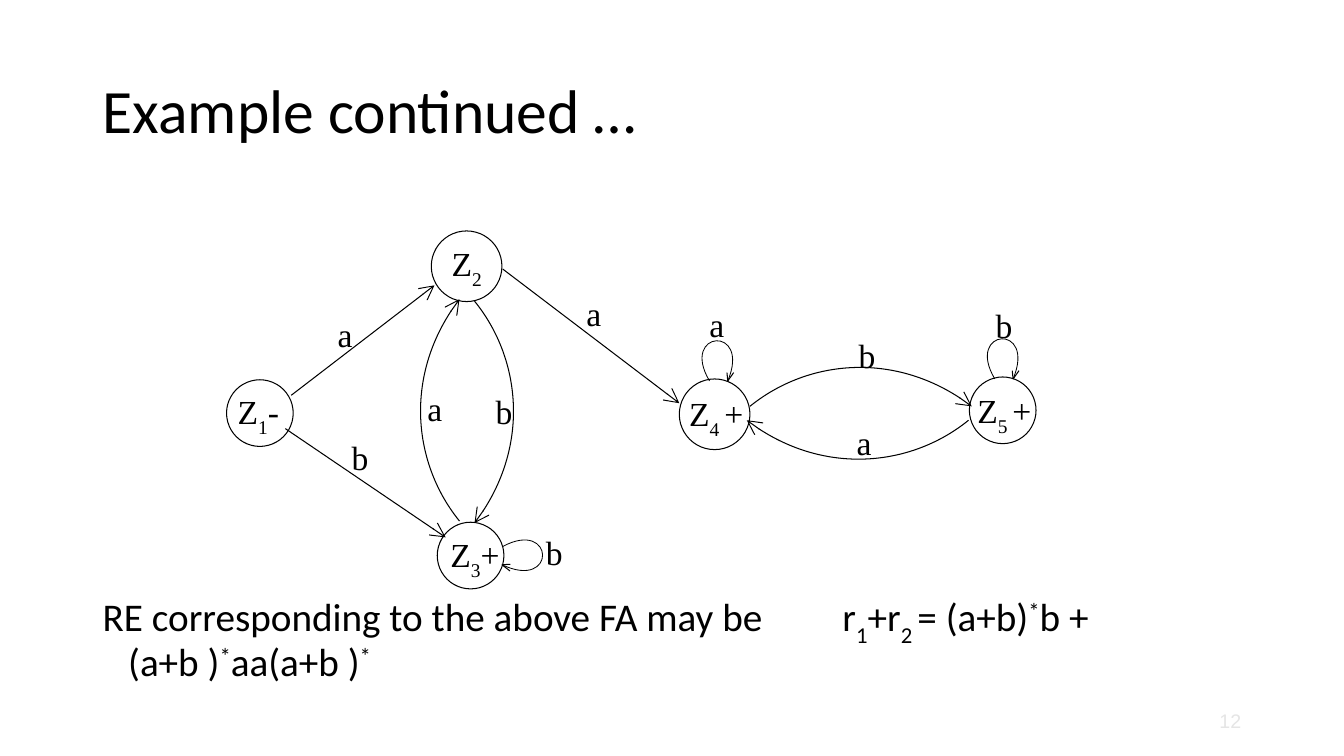
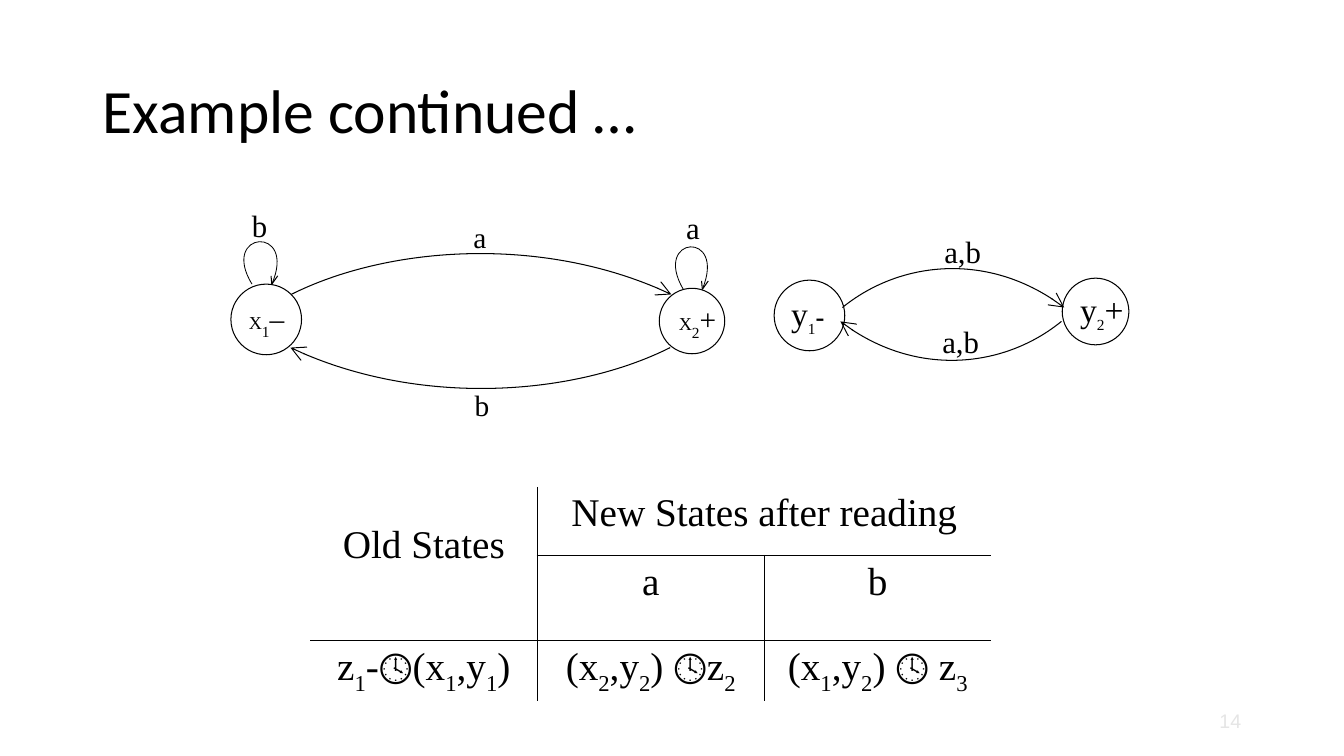
import math

import pptx
import pptx.dml.color
import pptx.enum.shapes
import pptx.enum.text
import pptx.oxml
import pptx.oxml.ns
import pptx.util
from lxml import etree

Cm = pptx.util.Cm
Pt = pptx.util.Pt
qn = pptx.oxml.ns.qn
ALIGN = pptx.enum.text.PP_ALIGN
ANCHOR = pptx.enum.text.MSO_ANCHOR

COLORS = {"ink": "000000", "paper": "FFFFFF", "number": "E5E5E5"}
SANS, SERIF, NUMERAL = "Calibri", "Times New Roman", "Arial"
SHIFTS = {"_": "-30000", "^": "30000"}
ARC = ((0.25, 0.8), (0.67, 1))
LOOP = ((-1.65, 0.9), (2.3, 1))
BARBS = ((0.15, 0.21), (-0.02, 0.21))


def rgb(name):
    return pptx.dml.color.RGBColor.from_string(COLORS[name])


def sub(parent, tag, **attrs):
    return etree.SubElement(parent, qn(tag), attrs)


def write(p, text, font, size, color="ink", sizes=None):
    """Pieces are parted by |; _ lowers, ^ raises and ! makes bold."""
    p.font.name = font
    p.font.size = Pt(size)
    p.font.color.rgb = rgb(color)
    for i, piece in enumerate(text.split("|")):
        mark = piece[0] if piece[0] in "_^!" else ""
        r = p.add_run()
        r.text = piece[len(mark):]
        if mark in SHIFTS:
            r._r.get_or_add_rPr().set("baseline", SHIFTS[mark])
        if mark == "!":
            r.font.bold = True
        if sizes:
            r.font.size = Pt(sizes[i])


def add_text(s, x, y, w, h, text, font, size, color="ink", sizes=None,
             anchor=ANCHOR.TOP, wrap=True, tabs=()):
    tf = s.shapes.add_textbox(Cm(x), Cm(y), Cm(w), Cm(h)).text_frame
    tf.word_wrap = wrap
    tf.vertical_anchor = anchor
    p = tf.paragraphs[0]
    if tabs:
        tab_list = sub(p._p.get_or_add_pPr(), "a:tabLst")
        for tab in tabs:
            sub(tab_list, "a:tab", pos=str(Cm(tab)), algn="l")
    write(p, text, font, size, color, sizes)
    return p


def style_line(shape, width=0.75, head=True):
    shape.line.color.rgb = rgb("ink")
    shape.line.width = Pt(width)
    if head:
        sub(shape.line._get_or_add_ln(), "a:tailEnd", type="arrow", w="lg", len="lg")


def add_curve(s, start, end, bulge, form, width=0.75, head=True):
    dx, dy = end[0] - start[0], end[1] - start[1]
    length = math.hypot(dx, dy)
    nx, ny = dy / length * bulge, -dx / length * bulge
    controls = [(start[0] + dx * along + nx * rise, start[1] + dy * along + ny * rise)
                for along, rise in form]
    points = [(Cm(px), Cm(py)) for px, py in (start, *controls, end)]
    builder = s.shapes.build_freeform(*points[0], scale=1.0)
    builder.add_line_segments(points[1:], close=False)
    shape = builder.convert_to_shape()
    segments = list(shape._element.iter(qn("a:lnTo")))
    bezier = sub(segments[0].getparent(), "a:cubicBezTo")
    for segment in segments:
        bezier.append(segment[0])
        segment.getparent().remove(segment)
    shape.shadow.inherit = False
    shape.fill.background()
    style_line(shape, width, head)


def add_line(s, start, end, head=True):
    line = s.shapes.add_connector(pptx.enum.shapes.MSO_CONNECTOR.STRAIGHT,
                                  *(Cm(v) for v in (*start, *end)))
    style_line(line, head=head)
    sub(line._element.spPr, "a:effectLst")


def add_loop(s, start, end, bulge):
    add_curve(s, start, end, bulge, LOOP, 0.6, False)
    dx, dy = end[0] - start[0], end[1] - start[1]
    length = math.hypot(dx, dy)
    ux, uy = dx / length, dy / length
    for along, rise in BARBS:
        tail = (end[0] + ux * along + uy * rise, end[1] + uy * along - ux * rise)
        add_line(s, tail, end, False)


def add_state(s, cx, cy, d, name, dx, dy, sizes=None):
    circle = s.shapes.add_shape(pptx.enum.shapes.MSO_SHAPE.OVAL,
                                Cm(cx - d / 2), Cm(cy - d / 2), Cm(d), Cm(d))
    circle.shadow.inherit = False
    circle.fill.solid()
    circle.fill.fore_color.rgb = rgb("paper")
    style_line(circle, head=False)
    add_text(s, cx + dx, cy + dy, 2, 1.27, name, SERIF, 24, sizes=sizes, wrap=False)


def add_automaton(s, x, y, machine):
    def at(point):
        return x + point[0], y + point[1]

    for cx, cy, *state in machine["states"]:
        add_state(s, *at((cx, cy)), *state)
    for start, end in machine["arcs"]:
        add_curve(s, at(start), at(end), machine["bulge"], ARC)
    for start, end in machine.get("loops", ()):
        add_loop(s, at(start), at(end), machine["bulge"])
    for start, end in machine.get("arrows", ()):
        add_line(s, at(start), at(end))
    for text, size, *place in machine["labels"]:
        add_text(s, *at(place), 2, 1.27, text, SERIF, size, wrap=False)


def set_borders(cell, sides):
    tcPr = cell._tc.get_or_add_tcPr()
    for side in "LRTB":
        ln = sub(tcPr, "a:ln" + side, w=str(Pt(1)))
        if side in sides:
            sub(sub(ln, "a:solidFill"), "a:srgbClr", val=COLORS["ink"])
        else:
            sub(ln, "a:noFill")
    cell.fill.background()


def add_transitions(s, x, y, rows, col_width, heights):
    n_rows, n_cols = len(rows), len(rows[0])
    table = s.shapes.add_table(n_rows, n_cols, Cm(x), Cm(y),
                               Cm(col_width * n_cols), Cm(sum(heights))).table
    table.first_row = table.horz_banding = False
    for col in table.columns:
        col.width = Cm(col_width)
    for row, height in zip(table.rows, heights):
        row.height = Cm(height)
    open_sides = {(1, 0, "T"), (0, 1, "R"), (0, 2, "L")}
    for i, texts in enumerate(rows):
        for j, text in enumerate(texts):
            cell = table.cell(i, j)
            cell.margin_bottom = 0
            inner = {"L": j > 0, "R": j < n_cols - 1, "T": i > 0, "B": i < n_rows - 1}
            set_borders(cell, [side for side, shown in inner.items()
                               if shown and (i, j, side) not in open_sides])
            if text:
                p = cell.text_frame.paragraphs[0]
                p.alignment = ALIGN.CENTER
                write(p, text, SERIF, 28)
    table.cell(0, 0).merge(table.cell(1, 0))
    table.cell(0, 0).margin_top = Cm(0.92)
    table.cell(0, 1).merge(table.cell(0, 2))


def add_slide(prs, title, number):
    s = prs.slides.add_slide(prs.slide_layouts[6])
    p = add_text(s, 2.34, 1.02, 29.21, 3.68, title, SANS, 44, anchor=ANCHOR.MIDDLE)
    p.line_spacing = 0.9
    p = add_text(s, 23.93, 17.66, 7.6, 1.01, number, NUMERAL, 14, "number",
                 anchor=ANCHOR.MIDDLE)
    p.alignment = ALIGN.RIGHT
    return s


def add_expression(s, x, y, w, h, text):
    p = add_text(s, x, y, w, h, text, SANS, 28, tabs=(17.78, 20.32))
    p.line_spacing = 0.9
    pPr = p._p.get_or_add_pPr()
    pPr.set("marL", str(Cm(0.64)))
    pPr.set("indent", str(-Cm(0.64)))


UNION = {
    "bulge": 1.42,
    "states": [
        (1.05, 4.91, 1.68, "Z|_1|-", -0.81, -0.68),
        (6.26, 1.21, 1.78, "Z|_2", -0.63, -0.72),
        (6.36, 8.5, 1.68, "Z|_3|+", -0.76, -0.68),
        (12.51, 4.94, 1.78, "Z|_4 |+", -0.89, -0.66),
        (19.77, 4.84, 1.68, "Z|_5 |+", -0.89, -0.65),
    ],
    "arcs": [
        ((6.08, 7.63), (6.08, 2.04)),
        ((6.46, 2.09), (6.46, 7.68)),
        ((18.91, 5.09), (13.32, 5.09)),
        ((13.4, 4.74), (18.99, 4.74)),
    ],
    "loops": [
        ((7.17, 8.27), (7.15, 8.73)),
        ((12.38, 4.1), (12.84, 4.1)),
        ((19.57, 4.05), (20.03, 4.05)),
    ],
    "arrows": [
        ((7.17, 1.28), (11.62, 4.66)),
        ((1.84, 4.46), (5.45, 1.69)),
        ((1.69, 5.3), (5.73, 8.04)),
    ],
    "labels": [
        ("a", 24, 2.76, 2.28), ("b", 24, 3.11, 5.39),
        ("a", 24, 5.02, 4.15), ("b", 24, 6.74, 4.23),
        ("a", 24, 9.03, 1.76), ("b", 24, 8.01, 7.77),
        ("a", 24, 12.13, 2.03), ("b", 24, 15.89, 2.81),
        ("a", 24, 15.84, 5.01), ("b", 24, 19.34, 2.05),
    ],
}

X_MACHINE = {
    "bulge": 1.5,
    "states": [
        (0.91, 3.05, 1.78, "X|_1|–", -0.69, -0.6, (13, 19, 21)),
        (11.64, 3.09, 1.65, "X|_2|+", -0.58, -0.62, (13, 19, 21)),
    ],
    "arcs": [((1.54, 2.42), (11.12, 2.42)), ((11.09, 3.76), (1.52, 3.76))],
    "loops": [((0.55, 2.16), (1.05, 2.16)), ((11.42, 2.29), (11.9, 2.29))],
    "labels": [
        ("b", 22, 0.3, 0.08), ("a", 22, 11.24, 0.13),
        ("a", 21, 5.88, 0.39), ("b", 21, 5.91, 4.63),
    ],
}

Y_MACHINE = {
    "bulge": 1.42,
    "states": [
        (0.9, 2.45, 1.78, "y|_1|!-", -0.71, -0.69, (24, 19, 19)),
        (8.11, 2.35, 1.68, "y|_2|+", -0.64, -0.69, (24, 19, 24)),
    ],
    "arcs": [((7.25, 2.6), (1.68, 2.6)), ((1.73, 2.25), (7.32, 2.25))],
    "labels": [("a,b", 22, 4.05, 0.24), ("a,b", 22, 4, 2.5)],
}

TRANSITIONS = [
    ["Old States", "New States after reading", ""],
    ["", "a", "b"],
    ["z|_1|-🕓(x|_1|,y|_1|)", "(x|_2|,y|_2|) 🕓z|_2", "(x|_1|,y|_2|) 🕓 z|_3"],
]

EXPRESSION = ("RE corresponding to the above FA may be \t\t r|_1|+r|_2 |= (a+b)|^*|"
              "b + (a+b )|^*|aa(a+b )|^*")


def main():
    prs = pptx.Presentation()
    prs.slide_width, prs.slide_height = Cm(33.87), Cm(19.05)
    title = "Example continued …"

    s = add_slide(prs, title, "12")
    add_automaton(s, 5.5, 5.5, UNION)
    add_expression(s, 2.34, 14.8, 29.21, 2.5, EXPRESSION)

    s = add_slide(prs, title, "14")
    add_automaton(s, 5.8, 5, X_MACHINE)
    add_automaton(s, 19.5, 5.5, Y_MACHINE)
    add_transitions(s, 7.82, 12.27, TRANSITIONS, 5.72, (1.73, 2.13, 1.54))

    prs.save("out.pptx")


if __name__ == "__main__":
    main()
